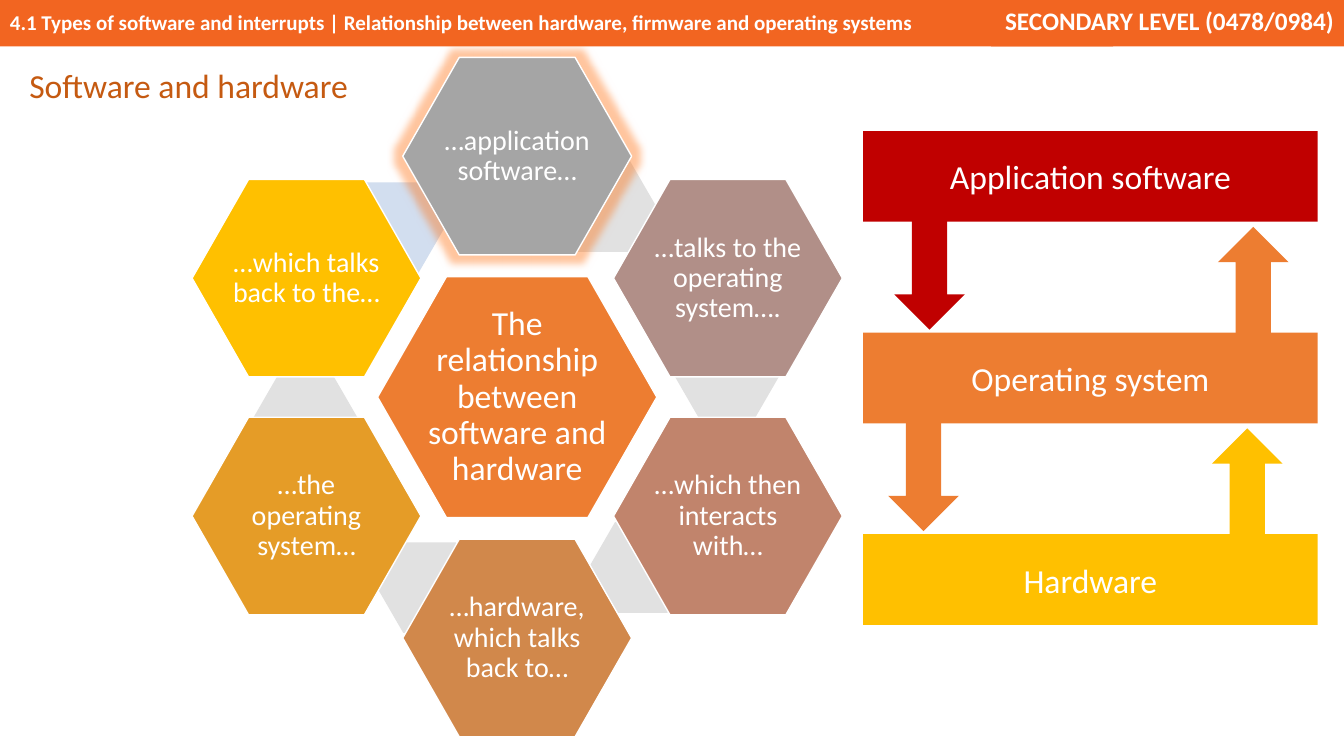
from lxml import etree
from pptx import Presentation
from pptx.dml.color import RGBColor
from pptx.enum.shapes import MSO_SHAPE
from pptx.enum.text import MSO_ANCHOR, MSO_AUTO_SIZE, PP_ALIGN
from pptx.oxml.ns import qn
from pptx.util import Inches, Pt

RECTANGLE, HEXAGON, ARROW = MSO_SHAPE.RECTANGLE, MSO_SHAPE.HEXAGON, MSO_SHAPE.DOWN_ARROW
TOP, MIDDLE = MSO_ANCHOR.TOP, MSO_ANCHOR.MIDDLE
LEFT, CENTER, RIGHT = PP_ALIGN.LEFT, PP_ALIGN.CENTER, PP_ALIGN.RIGHT
TITLE_ONLY = 5

COLORS = {
    "white": "FFFFFF", "header": "F26521", "title": "C55A11", "glow": "FF6E0D",
    "red": "C00000", "orange": "ED7D31", "gold": "FFC000", "gray": "A5A5A5",
    "mauve": "B18F88", "clay": "C1846C", "copper": "D1884B", "amber": "E59C27",
    "link": "E1E1E1", "blue link": "D2DEEF",
}

CENTRE_X, CENTRE_Y = 5.13, 3.94
COLUMN_STEP, OUTER_STEP, INNER_STEP = 2.09, 2.39, 1.18
RING = [
    ("…application software…", "gray", 0, -OUTER_STEP),
    ("…talks to the operating system….", "mauve", 1, -INNER_STEP),
    ("…which then interacts with…", "clay", 1, INNER_STEP),
    ("…hardware, which talks back to…", "copper", 0, OUTER_STEP),
    ("…the operating system…", "amber", -1, INNER_STEP),
    ("…which talks back to the…", "gold", -1, -INNER_STEP),
]
LINKS = [
    (3.89, 2.26, "blue link"), (5.99, 2.05, "link"), (7.21, 3.73, "link"),
    (6.36, 5.63, "link"), (4.26, 5.83, "link"), (3.03, 4.15, "link"),
]
LAYERS = [("Application software", "red"), ("Operating system", "orange"), ("Hardware", "gold")]
LAYER_TOP, LAYER_STEP = 1.3, 2


def rgb(name):
    return RGBColor.from_string(COLORS[name])


def add_block(page, kind, left, top, width, height, color):
    block = page.shapes.add_shape(kind, Inches(left), Inches(top), Inches(width), Inches(height))
    block.shadow.inherit = False
    block.fill.solid()
    block.fill.fore_color.rgb = rgb(color)
    block.line.fill.background()
    return block


def write(box, text, size, align=CENTER, anchor=MIDDLE, color="white", bold=False, spacing=1.0):
    frame = box.text_frame
    frame.word_wrap = True
    frame.vertical_anchor = anchor
    frame.text = text
    para = frame.paragraphs[0]
    para.alignment = align
    para.line_spacing = spacing
    font = para.font
    font.name, font.size, font.bold = "Calibri", Pt(size), bold
    font.color.rgb = rgb(color)


def add_hexagon(page, x, y, width, height, color, notch=0.286):
    """Draw a hexagon centred on x, y."""
    hexagon = add_block(page, HEXAGON, x - width / 2, y - height / 2, width, height, color)
    hexagon.adjustments[0] = notch
    return hexagon


def add_step(page, x, y, width, height, color, text, size):
    """Draw a white-edged hexagon with its wording."""
    step = add_hexagon(page, x, y, width, height, color)
    step.line.color.rgb = rgb("white")
    step.line.width = Pt(1)
    frame = step.text_frame
    frame.margin_left = frame.margin_right = Inches(0.03)
    frame.margin_top = frame.margin_bottom = Inches(0.03)
    write(step, text, size, spacing=0.9)
    return step


def add_glow(shape, color, radius):
    effects = shape._element.spPr.find(qn("a:effectLst"))
    glow = etree.SubElement(effects, qn("a:glow"), rad=str(radius))
    shade = etree.SubElement(glow, qn("a:srgbClr"), val=COLORS[color])
    etree.SubElement(shade, qn("a:alpha"), val="40000")


def add_title(page):
    title = page.shapes.title
    title.left, title.top = Inches(0.19), Inches(0.57)
    title.width, title.height = Inches(3.78), Inches(0.51)
    write(title, "Software and hardware", 24, LEFT, TOP, "title", spacing=1.07)
    title.text_frame.auto_size = MSO_AUTO_SIZE.NONE


def add_header(page):
    topic = add_block(page, RECTANGLE, 0, 0, 11.04, 0.46, "header")
    write(topic, "4.1 Types of software and interrupts | Relationship between hardware, "
          "firmware and operating systems", 15, LEFT, TOP, bold=True, spacing=1.2)
    course = add_block(page, RECTANGLE, 9.83, 0, 3.5, 0.46, "header")
    write(course, "SECONDARY LEVEL (0478/0984)", 18, RIGHT, TOP, bold=True)


def add_cycle(page):
    for x, y, color in LINKS:
        add_hexagon(page, x, y, 1.04, 0.9, color, notch=0.289)
    add_step(page, CENTRE_X, CENTRE_Y, 2.77, 2.39, "orange",
             "The relationship between software and hardware", 24)
    steps = [
        add_step(page, CENTRE_X + column * COLUMN_STEP, CENTRE_Y + offset,
                 2.27, 1.96, color, text, 20)
        for text, color, column, offset in RING
    ]
    add_glow(steps[0], "glow", Pt(11))


def add_arrow(page, left, top, color, rotation=0):
    arrow = add_block(page, ARROW, left, top, 0.7, 1.17, color)
    arrow.rotation = rotation


def add_layers(page):
    for row, (text, color) in enumerate(LAYERS):
        layer = add_block(page, RECTANGLE, 8.56, LAYER_TOP + row * LAYER_STEP, 4.51, 0.9, color)
        write(layer, text, 24)
    for row, (upper, lower) in enumerate(zip(LAYERS, LAYERS[1:])):
        shift = row * 0.06
        top = LAYER_TOP + row * LAYER_STEP
        add_arrow(page, 8.87 - shift, top + 0.8, upper[1])
        add_arrow(page, 12.08 - shift, top + 0.95, lower[1], rotation=180)


def main():
    deck = Presentation()
    deck.slide_width, deck.slide_height = Inches(13.33), Inches(7.5)
    page = deck.slides.add_slide(deck.slide_layouts[TITLE_ONLY])
    add_header(page)
    add_title(page)
    add_cycle(page)
    add_layers(page)
    deck.save("out.pptx")


if __name__ == "__main__":
    main()
